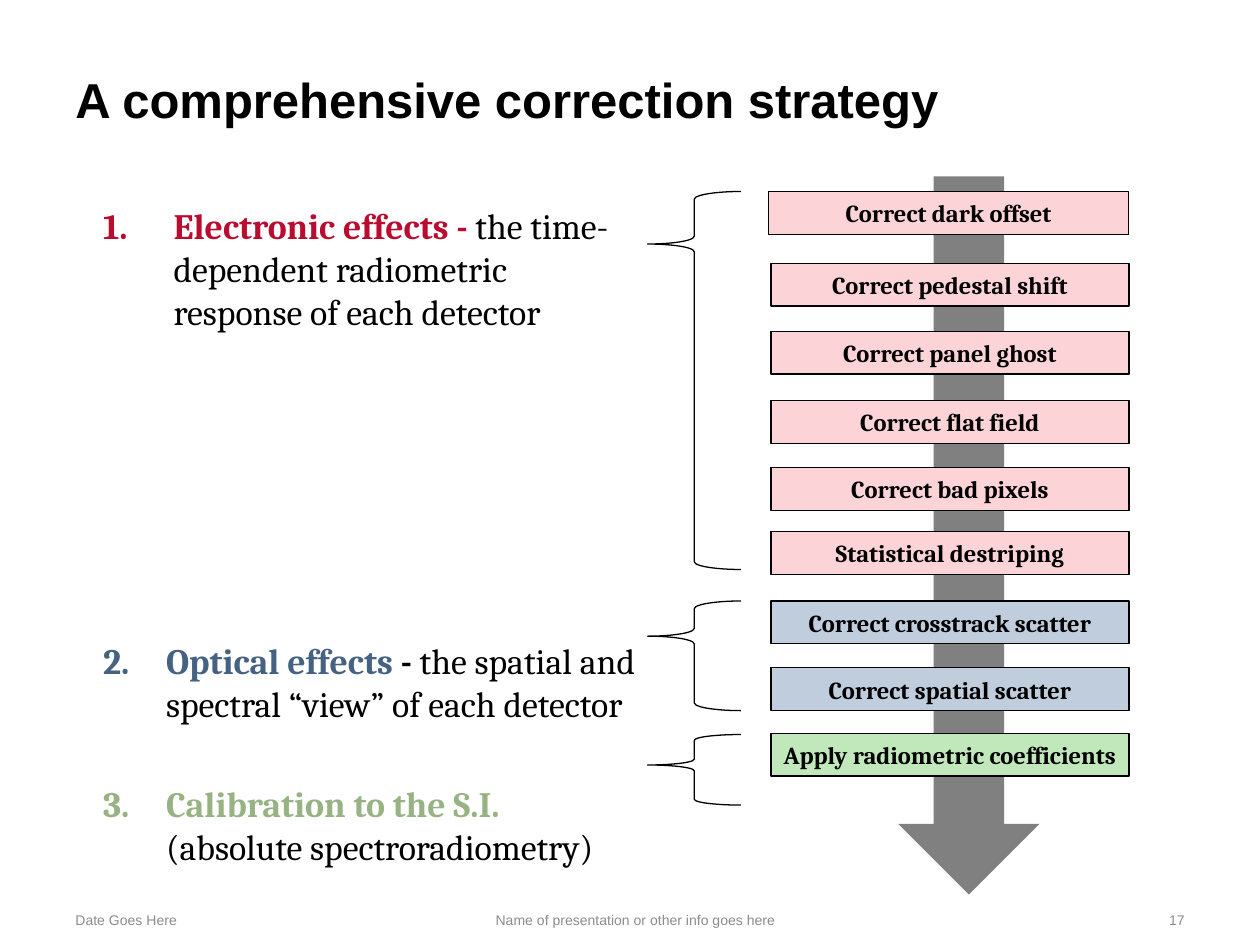
from lxml.etree import SubElement
from pptx import Presentation
from pptx.dml.color import RGBColor
from pptx.enum.shapes import MSO_SHAPE
from pptx.enum.text import MSO_ANCHOR, PP_ALIGN
from pptx.oxml.ns import qn
from pptx.util import Inches, Pt

COLS, ROWS = 100, 75
CELL = Inches(0.1)
BLACK, GRAY = "000000", "808080"
PINK, BLUE, GREEN = "FCD4D7", "BFCDDD", "C1E8BA"

STEPS = [
    ("Correct dark offset", PINK, 15.2),
    ("Correct pedestal shift", PINK, 20.9),
    ("Correct panel ghost", PINK, 26.3),
    ("Correct flat field", PINK, 31.8),
    ("Correct bad pixels", PINK, 37.1),
    ("Statistical destriping", PINK, 42.2),
    ("Correct crosstrack scatter", BLUE, 47.7),
    ("Correct spatial scatter", BLUE, 53),
    ("Apply radiometric coefficients", GREEN, 58.2),
]
BRACES = [(15.2, 30, 0.139), (47.7, 8.7, 0.321), (58.3, 5.6, 0.432)]
EFFECTS = [
    (5.6, 0, [("Electronic effects - ", "BA0C2F", True),
              ("the time-dependent radiometric response of each detector", BLACK, False)]),
    (5, 175, [("Optical effects ", "456282", True), ("- ", BLACK, True),
              ("the spatial and spectral “view” of each detector", BLACK, False)]),
    (5, 32.5, [("Calibration to the S.I. ", "97B383", True),
               ("(absolute spectroradiometry)", BLACK, False)]),
]
FOOTS = [
    ("Date Goes Here", 5, 14.8, PP_ALIGN.LEFT),
    ("Name of presentation or other info goes here", 20.6, 59.7, PP_ALIGN.CENTER),
    ("17", 81.1, 13.9, PP_ALIGN.RIGHT),
]


def color(code):
    """Turn a hex string into a colour."""
    return RGBColor.from_string(code)


def place(box):
    """Turn a box in grid cells into slide lengths."""
    return [round(part * CELL) for part in box]


def style(run, face, size, code, bold=False):
    """Format one run."""
    font = run.font
    font.name, font.size, font.bold = face, Pt(size), bold
    font.color.rgb = color(code)


def add_text(slide, box, text, size, code, bold=False,
             align=PP_ALIGN.LEFT, anchor=MSO_ANCHOR.TOP):
    """Place one line of Arial text."""
    frame = slide.shapes.add_textbox(*place(box)).text_frame
    frame.word_wrap = True
    frame.vertical_anchor = anchor
    frame.text = text
    para = frame.paragraphs[0]
    para.alignment = align
    style(para.runs[0], "Arial", size, code, bold)


def add_shape(slide, kind, box, fill=None, line=None):
    """Place a flat preset shape."""
    shape = slide.shapes.add_shape(kind, *place(box))
    shape.shadow.inherit = False
    if fill:
        shape.fill.solid()
        shape.fill.fore_color.rgb = color(fill)
    else:
        shape.fill.background()
    if line:
        shape.line.color.rgb = color(line)
        shape.line.width = Pt(0.75)
    else:
        shape.line.fill.background()
    return shape


def add_list(slide, box):
    """Place the numbered list of effects."""
    frame = slide.shapes.add_textbox(*place(box)).text_frame
    frame.word_wrap = True
    for index, (indent, gap, parts) in enumerate(EFFECTS):
        para = frame.add_paragraph() if index else frame.paragraphs[0]
        props = para._p.get_or_add_pPr()
        props.set("marL", str(round(indent * CELL)))
        props.set("indent", str(-round(indent * CELL)))
        SubElement(props, qn("a:buAutoNum"), type="arabicPeriod")
        if gap:
            para.space_before = Pt(gap)
        for text, code, bold in parts:
            run = para.add_run()
            run.text = text
            style(run, "Cambria", 20.4, code, bold)


def add_flow(slide, box):
    """Place the arrow and its steps."""
    left, top, width, height = box
    add_shape(slide, MSO_SHAPE.DOWN_ARROW, (left + 10.3, top, 11.2, height), GRAY)
    for index, (text, fill, row) in enumerate(STEPS):
        inset = 0.2 if index else 0
        step = add_shape(slide, MSO_SHAPE.RECTANGLE,
                         (left + inset, row, width - inset, 3.4), fill, BLACK)
        frame = step.text_frame
        frame.word_wrap = False
        frame.vertical_anchor = MSO_ANCHOR.MIDDLE
        frame.text = text
        para = frame.paragraphs[0]
        para.alignment = PP_ALIGN.CENTER
        style(para.runs[0], "Cambria", 14, BLACK, True)


def add_braces(slide, left, width):
    """Place the braces that group the steps."""
    for top, height, point in BRACES:
        brace = add_shape(slide, MSO_SHAPE.LEFT_BRACE,
                          (left, top, width, height), line=BLACK)
        brace.adjustments[0] = 0.083
        brace.adjustments[1] = point


def add_footer(slide, top, height):
    """Place the footer texts."""
    for text, left, width, align in FOOTS:
        add_text(slide, (left, top, width, height), text, 8, "8C8C8C",
                 align=align, anchor=MSO_ANCHOR.MIDDLE)


def main():
    """Build and save the slide."""
    deck = Presentation()
    deck.slide_width, deck.slide_height = COLS * CELL, ROWS * CELL
    slide = deck.slides.add_slide(deck.slide_layouts[6])
    add_footer(slide, 71, 4)
    add_text(slide, (5, 5, 90, 4.8), "A comprehensive correction strategy",
             28, BLACK, True)
    add_list(slide, (7.2, 15.7, 44.3, 50.5))
    add_flow(slide, (61, 14, 28.6, 57))
    add_braces(slide, 51.4, 7.4)
    deck.save("out.pptx")


if __name__ == "__main__":
    main()
